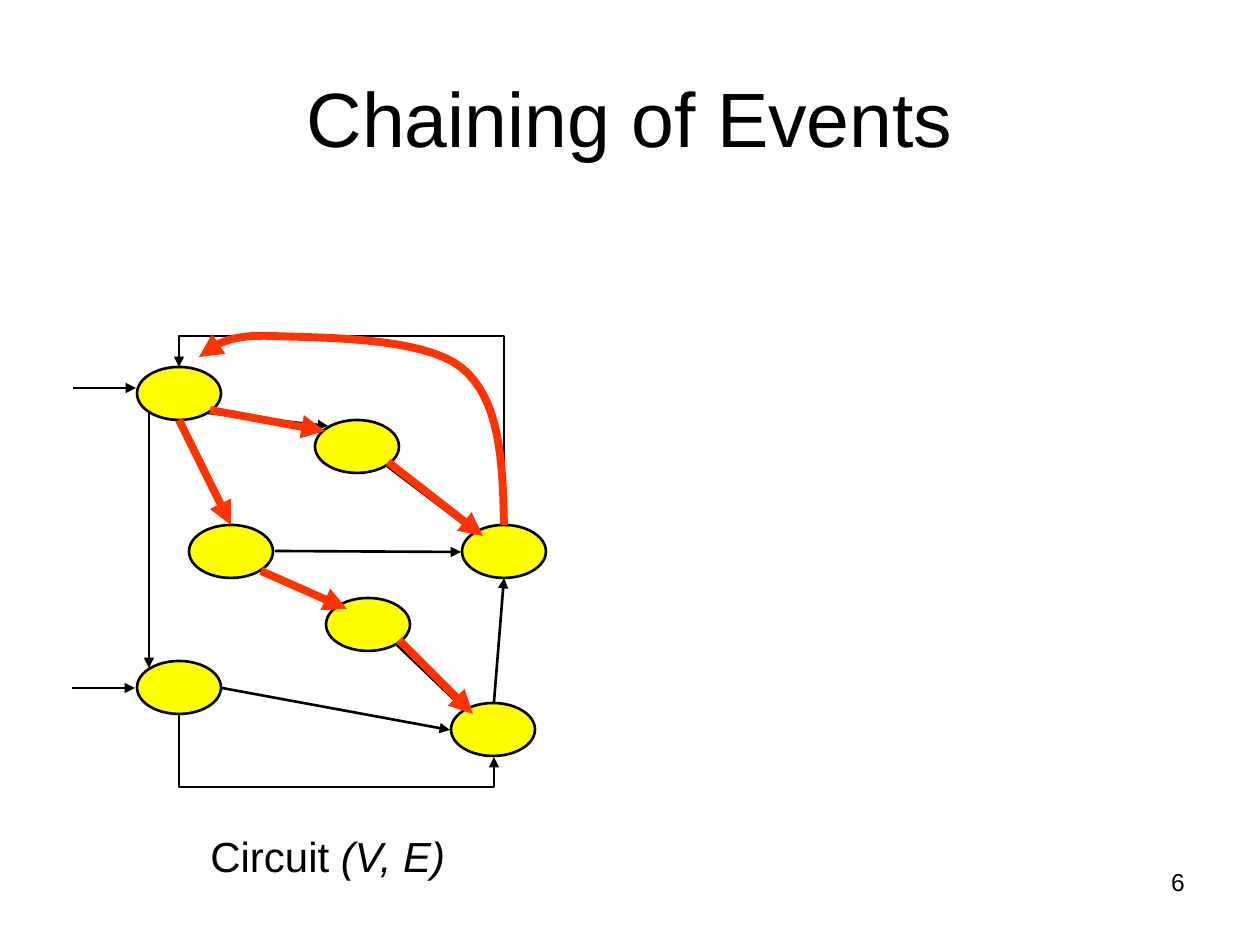
from dataclasses import dataclass

from lxml import etree
from pptx import Presentation
from pptx.dml.color import RGBColor
from pptx.enum.shapes import MSO_CONNECTOR, MSO_SHAPE
from pptx.enum.text import MSO_ANCHOR, PP_ALIGN
from pptx.oxml.ns import qn
from pptx.util import Emu, Pt

STRAIGHT, ELBOW = MSO_CONNECTOR.STRAIGHT, MSO_CONNECTOR.ELBOW
OVAL = MSO_SHAPE.OVAL
LEFT, CENTER, RIGHT = PP_ALIGN.LEFT, PP_ALIGN.CENTER, PP_ALIGN.RIGHT
TOP, MIDDLE = MSO_ANCHOR.TOP, MSO_ANCHOR.MIDDLE

EMU_PER_PX = 914400 / 126
SLIDE_WIDTH, SLIDE_HEIGHT = 1260, 945
NODE_WIDTH, NODE_HEIGHT = 84, 53
CURVE_STEPS = 16


@dataclass(frozen=True)
class Theme:
    font: str = "Arial"
    ink: RGBColor = RGBColor(0x00, 0x00, 0x00)
    node: RGBColor = RGBColor(0xFF, 0xFF, 0x00)
    event: RGBColor = RGBColor(0xFF, 0x33, 0x00)
    title_size: int = 44
    caption_size: int = 24
    number_size: int = 14
    thin: float = 1.5
    thick: float = 4.5


def px(length):
    return Emu(round(length * EMU_PER_PX))


def bezier_points(start, control_1, control_2, end):
    """Sample a cubic curve, leaving out its start."""
    for step in range(1, CURVE_STEPS + 1):
        t = step / CURVE_STEPS
        weights = ((1 - t) ** 3, 3 * t * (1 - t) ** 2, 3 * t * t * (1 - t), t ** 3)
        points = (start, control_1, control_2, end)
        yield tuple(px(sum(w * p[axis] for w, p in zip(weights, points))) for axis in (0, 1))


class SlideBuilder:
    def __init__(self, slide, theme):
        self.slide = slide
        self.theme = theme

    def text(self, box, runs, size, align=LEFT, anchor=TOP, wrap=True):
        """Add one paragraph; runs are (text, italic) pairs."""
        frame = self.slide.shapes.add_textbox(*map(px, box)).text_frame
        for name, value in {"word_wrap": wrap, "vertical_anchor": anchor}.items():
            setattr(frame, name, value)
        paragraph = frame.paragraphs[0]
        paragraph.alignment = align
        for content, italic in runs:
            run = paragraph.add_run()
            run.text = content
            run.font.color.rgb = self.theme.ink
            font_format = {"name": self.theme.font, "size": Pt(size), "italic": italic}
            for name, value in font_format.items():
                setattr(run.font, name, value)

    def node(self, left, top):
        shape = self.slide.shapes.add_shape(OVAL, *map(px, (left, top, NODE_WIDTH, NODE_HEIGHT)))
        shape.shadow.inherit = False
        shape.fill.solid()
        shape.fill.fore_color.rgb = self.theme.node
        shape.line.color.rgb = self.theme.ink
        shape.line.width = Pt(self.theme.thin)

    def style_arrow(self, shape, color, width):
        shape.line.color.rgb = color
        shape.line.width = Pt(width)
        etree.SubElement(shape.line._get_or_add_ln(), qn("a:tailEnd"), type="triangle")

    def connector(self, kind, start, end, color, width):
        connector = self.slide.shapes.add_connector(kind, *map(px, (*start, *end)))
        self.style_arrow(connector, color, width)
        etree.SubElement(connector._element.spPr, qn("a:effectLst"))
        return connector

    def wire(self, start, end):
        self.connector(STRAIGHT, start, end, self.theme.ink, self.theme.thin)

    def event(self, start, end):
        self.connector(STRAIGHT, start, end, self.theme.event, self.theme.thick)

    def elbow(self, start, end, lane):
        """Leave vertically, run along y = lane, and arrive vertically."""
        center_x, center_y = ((a + b) / 2 for a, b in zip(start, end))
        # The connector is turned by 270 degrees, so its ends are turned back here.
        turned = [(center_x - (y - center_y), center_y + (x - center_x)) for x, y in (start, end)]
        connector = self.connector(ELBOW, *turned, self.theme.ink, self.theme.thin)
        properties = connector._element.spPr
        properties.find(qn("a:xfrm")).set("rot", str(270 * 60000))
        geometry = properties.find(qn("a:prstGeom"))
        adjustments = geometry.find(qn("a:avLst"))
        if adjustments is None:
            adjustments = etree.SubElement(geometry, qn("a:avLst"))
        ratio = (lane - start[1]) / (end[1] - start[1])
        etree.SubElement(adjustments, qn("a:gd"), name="adj1", fmla=f"val {round(ratio * 100000)}")

    def event_curve(self, start, *segments):
        outline = self.slide.shapes.build_freeform(*map(px, start))
        for segment in segments:
            outline.add_line_segments(list(bezier_points(start, *segment)), close=False)
            start = segment[-1]
        shape = outline.convert_to_shape()
        shape.shadow.inherit = False
        shape.fill.background()
        self.style_arrow(shape, self.theme.event, self.theme.thick)


NODES = [(451, 703), (326, 598), (189, 525), (462, 525), (315, 420), (137, 367), (137, 661)]
WIRES = [
    ((222, 688), (450, 730)),
    ((397, 645), (464, 709)),
    ((261, 571), (338, 605)),
    ((275, 551), (461, 552)),
    ((387, 466), (474, 532)),
    ((208, 413), (328, 426)),
    ((179, 421), (231, 524)),
    ((494, 702), (504, 578)),
    ((149, 413), (149, 668)),
    ((73, 388), (136, 388)),
    ((72, 688), (135, 688)),
]
ELBOWS = [((504, 524), (179, 367), 336), ((179, 715), (494, 757), 787)]
EVENTS = [
    ((388, 462), (483, 536)),
    ((210, 410), (325, 431)),
    ((179, 420), (231, 525)),
    ((261, 571), (347, 609)),
    ((399, 640), (473, 714)),
]
FEEDBACK = [
    (504, 525),
    ((503, 462), (500, 399), (462, 368)),
    ((423, 336), (316, 338), (273, 336)),
    ((229, 334), (214, 345), (199, 357)),
]


def main():
    presentation = Presentation()
    presentation.slide_width = px(SLIDE_WIDTH)
    presentation.slide_height = px(SLIDE_HEIGHT)
    theme = Theme()
    builder = SlideBuilder(presentation.slides.add_slide(presentation.slide_layouts[6]), theme)

    builder.text((63, 38, 1134, 158), [("Chaining of Events", False)],
                 theme.title_size, CENTER, MIDDLE)
    for position in NODES:
        builder.node(*position)
    for ends in WIRES:
        builder.wire(*ends)
    for route in ELBOWS:
        builder.elbow(*route)
    builder.text((198, 824, 263, 63), [("Circuit ", False), ("(V, E)", True)],
                 theme.caption_size, wrap=False)
    for ends in EVENTS:
        builder.event(*ends)
    builder.event_curve(*FEEDBACK)
    builder.text((903, 861, 294, 66), [("6", False)], theme.number_size, RIGHT)

    presentation.save("out.pptx")


if __name__ == "__main__":
    main()
